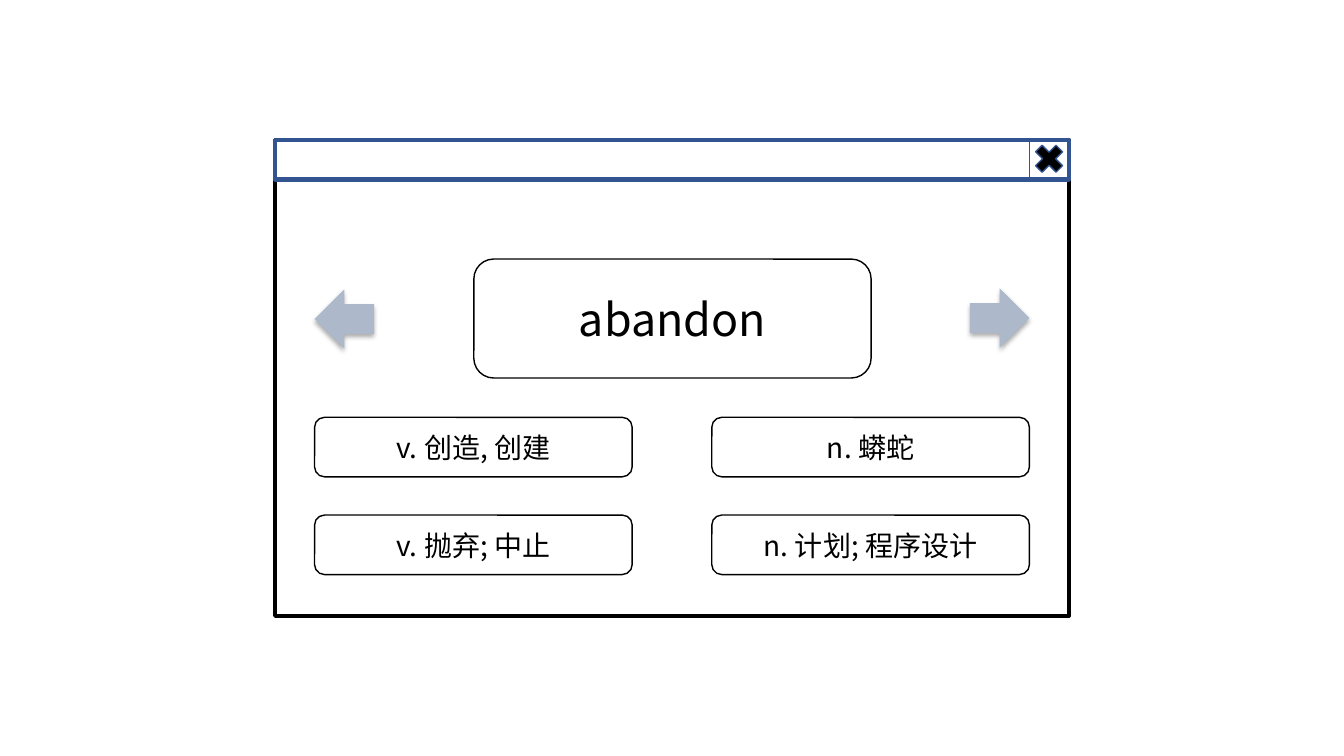
from dataclasses import dataclass
from typing import Optional

from lxml import etree
from pptx import Presentation
from pptx import util as u
from pptx.dml import color
from pptx.enum import shapes, text
from pptx.oxml import ns

FONT = "Noto Sans CJK SC"
BLACK, BLUE, GRAY = "000000", "325491", "ADB9CA"
Kind = shapes.MSO_SHAPE


@dataclass
class Box:
    kind: Kind
    left: float
    top: float
    width: float
    height: float
    line: Optional[str] = None
    weight: float = 1
    fill: Optional[str] = None
    label: str = ""
    size: int = 20
    shadow: bool = False


def rgb(value: str) -> color.RGBColor:
    return color.RGBColor.from_string(value)


def add_label(shape, label: str, size: int) -> None:
    frame = shape.text_frame
    frame.word_wrap = True
    frame.vertical_anchor = text.MSO_ANCHOR.MIDDLE
    paragraph = frame.paragraphs[0]
    paragraph.alignment = text.PP_ALIGN.CENTER
    run = paragraph.add_run()
    run.text = label
    run.font.size = u.Pt(size)
    run.font.color.rgb = rgb(BLACK)
    run.font.name = FONT
    etree.SubElement(run.font._element, ns.qn("a:ea"), typeface=FONT)


def add_shadow(shape) -> None:
    effects = shape._element.spPr.find(ns.qn("a:effectLst"))
    outer = etree.SubElement(
        effects, ns.qn("a:outerShdw"), blurRad=str(u.Pt(3.5)),
        dist=str(u.Pt(2.2)), dir="5400000", rotWithShape="0")
    tint = etree.SubElement(outer, ns.qn("a:srgbClr"), val=BLACK)
    etree.SubElement(tint, ns.qn("a:alpha"), val="32000")


def draw(slide, box: Box) -> None:
    shape = slide.shapes.add_shape(
        box.kind, u.Inches(box.left), u.Inches(box.top),
        u.Inches(box.width), u.Inches(box.height))
    shape.shadow.inherit = False
    if box.fill:
        shape.fill.solid()
        shape.fill.fore_color.rgb = rgb(box.fill)
    else:
        shape.fill.background()
    if box.line:
        shape.line.color.rgb = rgb(box.line)
        shape.line.width = u.Pt(box.weight)
    else:
        shape.line.fill.background()
    if box.label:
        add_label(shape, box.label, box.size)
    if box.shadow:
        add_shadow(shape)


LEFT, TOP, WIDTH, HEIGHT = 2.73, 1.39, 7.87, 4.72
BAR = 0.39
CLOSE_LEFT = LEFT + WIDTH - BAR
ANSWER_LEFT, ANSWER_TOP = 3.12, 4.14
ANSWER_WIDTH, ANSWER_HEIGHT = 3.15, 0.59
COLUMN_STEP, ROW_STEP = 3.94, 0.97
ARROW = 0.59
ANSWERS = [["v. 创造, 创建", "n. 蟒蛇"],
           ["v. 抛弃; 中止", "n. 计划; 程序设计"]]

window = Box(Kind.RECTANGLE, LEFT, TOP, WIDTH, HEIGHT, BLACK, 3)
word = Box(Kind.ROUNDED_RECTANGLE, 4.7, 2.57, 3.94, 1.18, BLACK,
           label="abandon", size=32)
answers = [
    Box(Kind.ROUNDED_RECTANGLE, ANSWER_LEFT + column * COLUMN_STEP,
        ANSWER_TOP + row * ROW_STEP, ANSWER_WIDTH, ANSWER_HEIGHT, BLACK,
        label=label)
    for row, labels in enumerate(ANSWERS)
    for column, label in enumerate(labels)
]
title_bar = Box(Kind.RECTANGLE, LEFT, TOP, WIDTH, BAR, BLUE, 3)
close_button = Box(Kind.RECTANGLE, CLOSE_LEFT, TOP, BAR, BAR, BLUE)
close_cross = Box(Kind.MATH_MULTIPLY, CLOSE_LEFT, 1.38, BAR, BAR, BLUE, fill=BLACK)
arrows = [
    Box(kind, left, top, ARROW, ARROW, fill=GRAY, shadow=True)
    for kind, left, top in [(Kind.RIGHT_ARROW, 9.62, 2.86),
                            (Kind.LEFT_ARROW, ANSWER_LEFT, 2.87)]
]

presentation = Presentation()
presentation.slide_width = u.Inches(13.33)
presentation.slide_height = u.Inches(7.5)
slide = presentation.slides.add_slide(presentation.slide_layouts[6])
for box in [window, word, *answers, title_bar, close_button, close_cross, *arrows]:
    draw(slide, box)
presentation.save("out.pptx")
